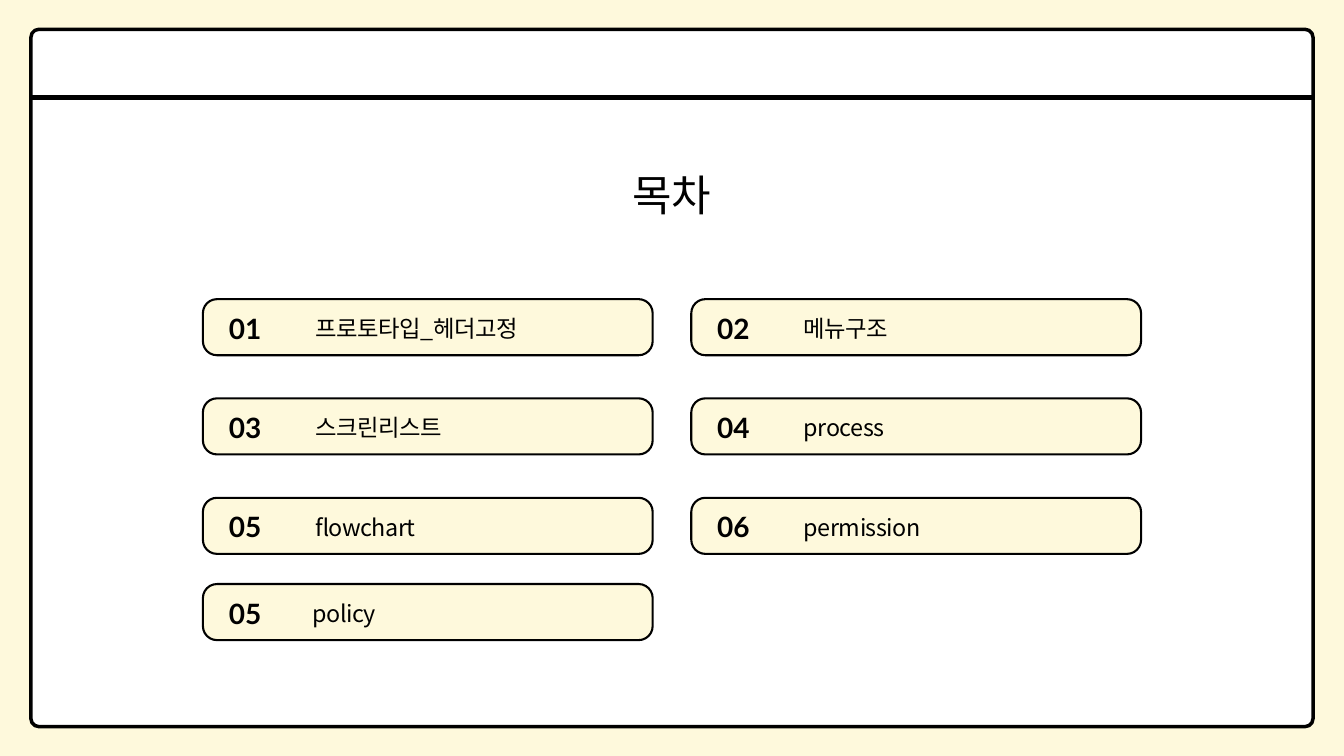
from lxml.etree import SubElement
from pptx import Presentation
from pptx.dml.color import RGBColor
from pptx.enum.shapes import MSO_CONNECTOR, MSO_SHAPE
from pptx.enum.text import MSO_ANCHOR, MSO_AUTO_SIZE, PP_ALIGN
from pptx.oxml.ns import qn
from pptx.util import Cm, Pt

CREAM, WHITE, BLACK = "FEF9DC", "FFFFFF", "000000"
KOREAN, LATIN = "Noto Sans CJK KR", "Lato"
TITLE = "목차"
ROWS = [
    (11.31, 4.26, [("01", "프로토타입_헤더고정"), ("02", "메뉴구조")]),
    (15.06, 4.26, [("03", "스크린리스트"), ("04", "process")]),
    (18.82, 4.26, [("05", "flowchart"), ("06", "permission")]),
    (22.08, 4.14, [("05", "policy")]),
]
FIRST_LEFT, COLUMN_STEP = 7.67, 18.46
CARD_WIDTH, CARD_HEIGHT = 17, 2.12
FRAME_LEFT, FRAME_TOP, FRAME_WIDTH, FRAME_HEIGHT = 1.17, 1.11, 48.46, 26.36
HEADER_LINE = 3.68


def colour(code):
    return RGBColor.from_string(code)


def place(shape, left, top, width, height):
    shape.left, shape.top = Cm(left), Cm(top)
    shape.width, shape.height = Cm(width), Cm(height)


def write(box, text, size, leading, face, bold=False, tracking=0, align=PP_ALIGN.LEFT):
    frame = box.text_frame
    frame.margin_left = frame.margin_right = frame.margin_top = frame.margin_bottom = 0
    frame.word_wrap = True
    frame.auto_size = MSO_AUTO_SIZE.SHAPE_TO_FIT_TEXT
    frame.vertical_anchor = MSO_ANCHOR.TOP
    frame.text = text
    para = frame.paragraphs[0]
    para.alignment = align
    para.line_spacing = Pt(leading)
    para.space_before = Pt(0)
    font = para.font
    font.size, font.bold, font.name = Pt(size), bold, face
    font.color.rgb = colour(BLACK)
    properties = para._p.pPr.find(qn("a:defRPr"))
    properties.set("spc", str(round(tracking * 100)))
    SubElement(properties, qn("a:ea")).set("typeface", face)


def add_text(page, left, top, width, height, *args, **options):
    box = page.shapes.add_textbox(Cm(left), Cm(top), Cm(width), Cm(height))
    write(box, *args, **options)


def add_panel(page, left, top, width, height, radius, fill, weight):
    panel = page.shapes.add_shape(
        MSO_SHAPE.ROUNDED_RECTANGLE, Cm(left), Cm(top), Cm(width), Cm(height))
    panel.adjustments[0] = radius / height
    panel.shadow.inherit = False
    panel.fill.solid()
    panel.fill.fore_color.rgb = colour(fill)
    panel.line.color.rgb = colour(BLACK)
    panel.line.width = Pt(weight)


def add_window(page):
    add_panel(page, FRAME_LEFT, FRAME_TOP, FRAME_WIDTH, FRAME_HEIGHT, 0.3, WHITE, 3.75)
    rule = page.shapes.add_connector(
        MSO_CONNECTOR.STRAIGHT, Cm(FRAME_LEFT), Cm(HEADER_LINE),
        Cm(FRAME_LEFT + FRAME_WIDTH), Cm(HEADER_LINE))
    rule.line.color.rgb = colour(BLACK)
    rule.line.width = Pt(4.96)
    SubElement(rule._element.spPr, qn("a:effectLst"))


def add_entry(page, left, top, indent, number, label):
    add_panel(page, left, top, CARD_WIDTH, CARD_HEIGHT, 0.53, CREAM, 2.25)
    add_text(page, left + 0.98, top + 0.39, 2.57, 1.32, number, 30, 37.8, LATIN, bold=True)
    add_text(page, left + indent, top + 0.39, 12.27, 1.2, label, 25, 35, KOREAN, tracking=-0.5)


def main():
    """Build the table-of-contents slide."""
    deck = Presentation()
    deck.slide_width, deck.slide_height = Cm(50.8), Cm(28.58)
    page = deck.slides.add_slide(deck.slide_layouts[5])
    page.background.fill.solid()
    page.background.fill.fore_color.rgb = colour(CREAM)

    add_window(page)
    title = page.shapes.title
    page.shapes._spTree.append(title._element)
    place(title, 13.56, 6.05, 23.65, 2.18)
    write(title, TITLE, 46, 64.4, KOREAN, tracking=-0.9, align=PP_ALIGN.CENTER)

    for top, indent, entries in ROWS:
        for column, (number, label) in enumerate(entries):
            add_entry(page, FIRST_LEFT + column * COLUMN_STEP, top, indent, number, label)

    deck.save("out.pptx")


if __name__ == "__main__":
    main()
